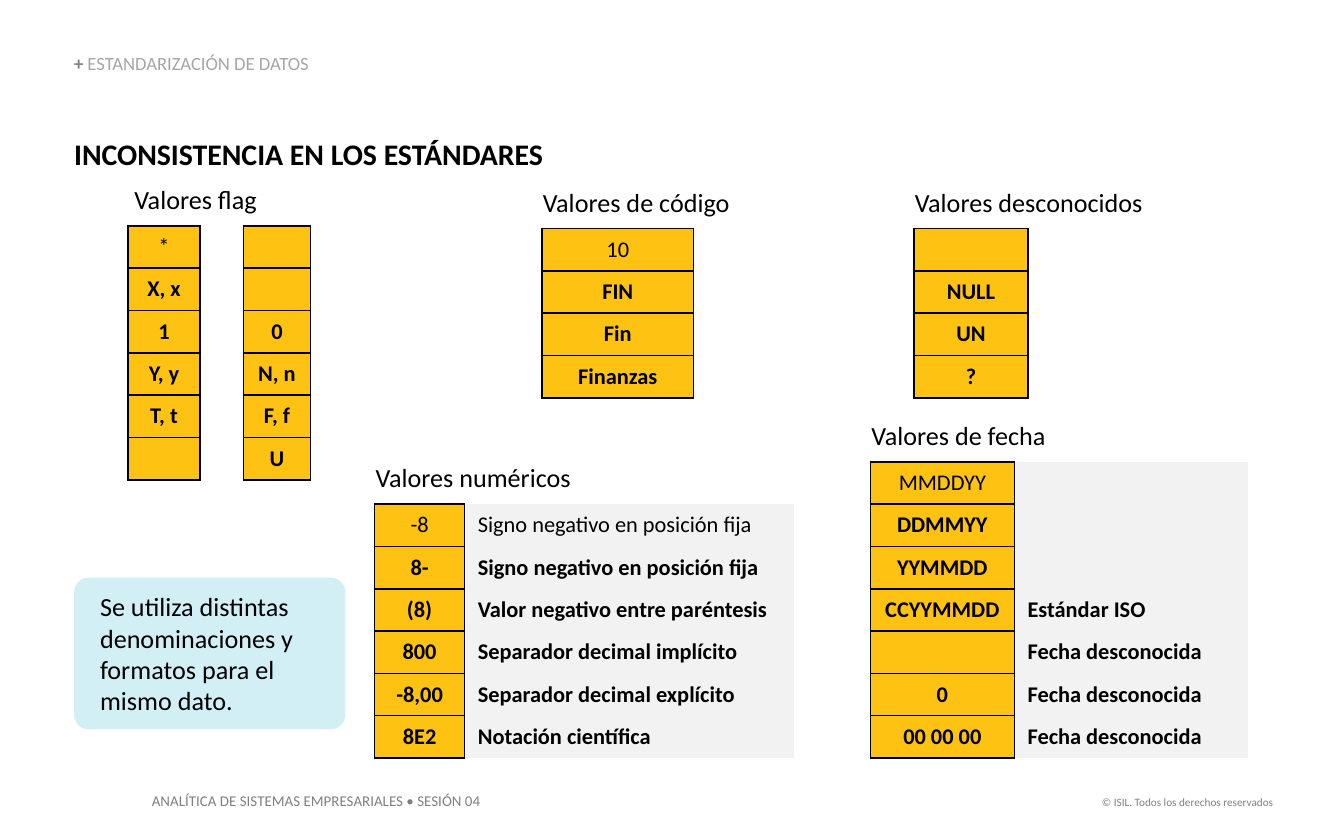
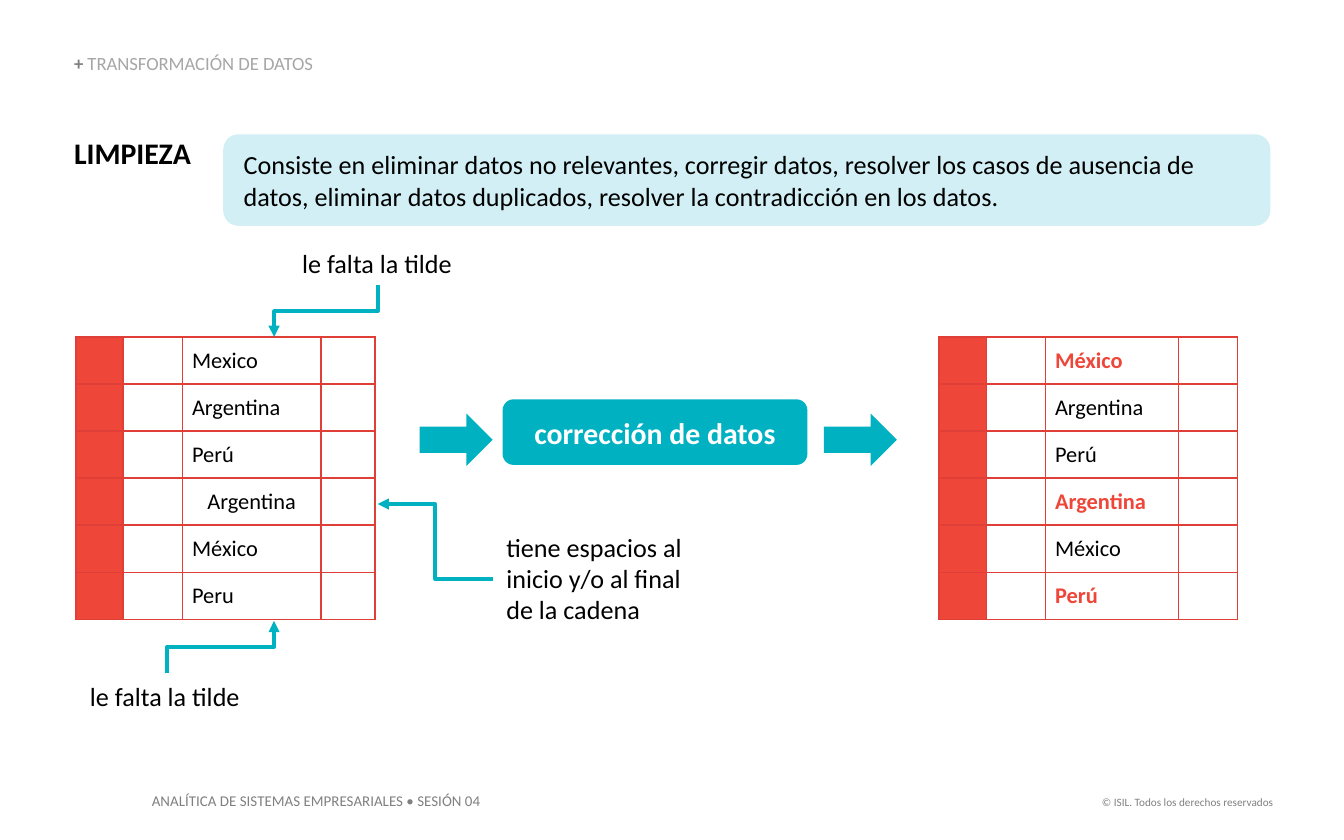
from dataclasses import dataclass

from lxml.etree import SubElement
from pptx import Presentation
from pptx.dml.color import RGBColor
from pptx.enum.shapes import MSO_CONNECTOR as LINK, MSO_SHAPE as SHAPE
from pptx.enum.text import MSO_ANCHOR as ANCHOR, MSO_AUTO_SIZE as AUTO, PP_ALIGN as ALIGN
from pptx.oxml.ns import qn
from pptx.util import Cm, Pt

BLACK = RGBColor(0x00, 0x00, 0x00)
WHITE = RGBColor(0xFF, 0xFF, 0xFF)
GRAY = RGBColor(0x80, 0x80, 0x80)
LIGHT_GRAY = RGBColor(0xA6, 0xA6, 0xA6)
PALE_GRAY = RGBColor(0xF2, 0xF2, 0xF2)
YELLOW = RGBColor(0xFD, 0xC2, 0x12)
RED = RGBColor(0xEE, 0x46, 0x39)
DARK_RED = RGBColor(0xDF, 0x3F, 0x37)
TEAL = RGBColor(0x00, 0xB1, 0xC2)
PALE_TEAL = RGBColor(0xD1, 0xEF, 0xF4)

FONT = "Calibri"
MARGIN = 1.4
ROW_HEIGHT = 0.8
INSETS = (0.25, 0.13, 0.25, 0.13)
NO_INSETS = (0, 0, 0, 0)
TIGHT_INSETS = (0.18, 0.09, 0.18, 0.09)
PLAIN_TABLE = "{2D5ABB26-0587-4C30-8999-92F81FD0307C}"


@dataclass(frozen=True)
class Box:
    left: float
    top: float
    width: float
    height: float

    def lengths(self):
        return [Cm(value) for value in (self.left, self.top, self.width, self.height)]


@dataclass(frozen=True)
class Column:
    fill: RGBColor = None
    align: ALIGN = ALIGN.LEFT
    borders: str = "LRTB"
    line: RGBColor = BLACK


CODE = Column(YELLOW, ALIGN.CENTER)
GAP = Column(borders="LR")
NOTE = Column(PALE_GRAY, borders="L")
KEY = Column(RED, line=DARK_RED)
FIELD = Column(WHITE, line=DARK_RED)


def style_run(span, size, color, bold=False):
    span.font.name = FONT
    span.font.size = Pt(size)
    span.font.bold = bold
    span.font.color.rgb = color


def set_margins(target, insets):
    (target.margin_left, target.margin_top,
     target.margin_right, target.margin_bottom) = [Cm(value) for value in insets]


def write(shape, text, size, color=BLACK, bold=False, align=ALIGN.LEFT,
          anchor=ANCHOR.TOP, insets=INSETS):
    frame = shape.text_frame
    frame.text = text
    frame.word_wrap = True
    frame.auto_size = AUTO.NONE
    frame.vertical_anchor = anchor
    set_margins(frame, insets)
    para = frame.paragraphs[0]
    para.alignment = align
    style_run(para.runs[0], size, color, bold)
    return para


def add_text(page, box, text, size=14, **options):
    shape = page.shapes.add_textbox(*box.lengths())
    write(shape, text, size, **options)
    return shape


def add_block(page, kind, box, color):
    shape = page.shapes.add_shape(kind, *box.lengths())
    shape.shadow.inherit = False
    shape.fill.solid()
    shape.fill.fore_color.rgb = color
    shape.line.fill.background()
    return shape


def add_callout(page, box, text, inset, corner=0.167):
    shape = add_block(page, SHAPE.ROUNDED_RECTANGLE, box, PALE_TEAL)
    shape.adjustments[0] = corner
    write(shape, text, 14, anchor=ANCHOR.MIDDLE, insets=(inset, 0.13, 0.25, 0.13))


def add_elbow(page, start, end, vertical=False):
    (x1, y1), (x2, y2) = start, end
    if vertical:
        middle_x, middle_y = (x1 + x2) / 2, (y1 + y2) / 2
        half_x, half_y = (y2 - y1) / 2, (x1 - x2) / 2
        x1, y1 = middle_x - half_x, middle_y - half_y
        x2, y2 = middle_x + half_x, middle_y + half_y
    link = page.shapes.add_connector(LINK.ELBOW, Cm(x1), Cm(y1), Cm(x2), Cm(y2))
    link.line.color.rgb = TEAL
    link.line.width = Pt(2)
    properties = link._element.spPr
    if vertical:
        properties.find(qn("a:xfrm")).set("rot", "5400000")
    SubElement(properties.find(qn("a:ln")), qn("a:tailEnd"), type="triangle")
    SubElement(properties, qn("a:effectLst"))


def style_cell(cell, text, column, color, bold, insets):
    if column.fill is None:
        cell.fill.background()
    else:
        cell.fill.solid()
        cell.fill.fore_color.rgb = column.fill
    cell.vertical_anchor = ANCHOR.MIDDLE
    set_margins(cell, insets)
    properties = cell._tc.get_or_add_tcPr()
    for index, side in enumerate(column.borders):
        line = SubElement(properties, qn(f"a:ln{side}"), w=str(Pt(1)))
        paint = SubElement(line, qn("a:solidFill"))
        SubElement(paint, qn("a:srgbClr"), val=str(column.line))
        properties.insert(index, line)
    para = cell.text_frame.paragraphs[0]
    para.alignment = column.align
    if text:
        para.text = text
        style_run(para.runs[0], 12, color, bold)
    else:
        SubElement(para._p, qn("a:endParaRPr"), sz="1200")


def add_grid(page, left, top, row_height, widths, columns, rows, bold_rows,
             bold_color=BLACK, insets=INSETS):
    box = Box(left, top, sum(widths), row_height * len(rows))
    frame = page.shapes.add_table(len(rows), len(widths), *box.lengths())
    frame._element.find(".//" + qn("a:tableStyleId")).text = PLAIN_TABLE
    table = frame.table
    table.first_row = table.horz_banding = False
    for index, width in enumerate(widths):
        table.columns[index].width = Cm(width)
    for row_index, texts in enumerate(rows):
        table.rows[row_index].height = Cm(row_height)
        bold = row_index in bold_rows
        color = bold_color if bold else BLACK
        for index, (text, column) in enumerate(zip(texts, columns)):
            style_cell(table.cell(row_index, index), text, column, color, bold, insets)
    return table


def add_value_group(page, left, top, label, label_width, widths, columns, rows,
                    label_shift=-0.23):
    add_grid(page, left, top, ROW_HEIGHT, widths, columns, rows, range(1, len(rows)))
    add_text(page, Box(left + label_shift, top - 0.93, label_width, 0.86), label)


def add_country_grid(page, left, top, widths, countries, bold_rows=()):
    rows = [("", "", country, "") for country in countries]
    return add_grid(page, left, top, 0.89, widths, (KEY, FIELD, FIELD, FIELD), rows,
                    bold_rows, RED, TIGHT_INSETS)


def add_footer(deck, page):
    notes = (
        add_text(page, Box(2.62, 14.83, 7.2, 0.61),
                 "ANALÍTICA DE SISTEMAS EMPRESARIALES • SESIÓN 04", 8, color=GRAY),
        add_text(page, Box(20.3, 14.91, 4.01, 0.51),
                 "© ISIL. Todos los derechos reservados", 6, color=GRAY, align=ALIGN.RIGHT),
    )
    for note in notes:
        deck.slide_master.shapes._spTree.append(note._element)


def add_page(deck, section, title, title_box):
    page = deck.slides.add_slide(deck.slide_layouts[5])
    heading = page.shapes.title
    heading.left, heading.top, heading.width, heading.height = title_box.lengths()
    write(heading, title, 16, bold=True, insets=NO_INSETS)
    band = page.shapes.add_textbox(*Box(MARGIN, 1.04, 6.76, 0.38).lengths())
    para = write(band, "+ ", 10, GRAY, True, anchor=ANCHOR.BOTTOM, insets=NO_INSETS)
    para.line_spacing = 0.9
    span = para.add_run()
    span.text = section
    style_run(span, 10, LIGHT_GRAY)
    return page


def build_standards(deck):
    page = add_page(deck, "ESTANDARIZACIÓN DE DATOS", "INCONSISTENCIA EN LOS ESTÁNDARES",
                    Box(MARGIN, 2.57, 9.5, 0.69))
    add_value_group(
        page, 2.42, 4.27, "Valores flag", 3.1, (1.36, 0.82, 1.27), (CODE, GAP, CODE),
        [("*", "", ""), ("X, x", "", ""), ("1", "", "0"),
         ("Y, y", "", "N, n"), ("T, t", "", "F, f"), ("", "", "U")],
        label_shift=-0.13)
    add_value_group(
        page, 10.24, 4.32, "Valores de código", 4.45, (2.87,), (CODE,),
        [("10",), ("FIN",), ("Fin",), ("Finanzas",)])
    add_value_group(
        page, 17.27, 4.32, "Valores desconocidos", 5.33, (2.16,), (CODE,),
        [("",), ("NULL",), ("UN",), ("?",)])
    add_value_group(
        page, 7.08, 9.53, "Valores numéricos", 4.6, (1.7, 6.22), (CODE, NOTE),
        [("-8", "Signo negativo en posición fija"),
         ("8-", "Signo negativo en posición fija"),
         ("(8)", "Valor negativo entre paréntesis"),
         ("800", "Separador decimal implícito"),
         ("-8,00", "Separador decimal explícito"),
         ("8E2", "Notación científica")])
    add_value_group(
        page, 16.45, 8.73, "Valores de fecha", 4.9, (2.72, 4.42), (CODE, NOTE),
        [("MMDDYY", ""), ("DDMMYY", ""), ("YYMMDD", ""),
         ("CCYYMMDD", "Estándar ISO"), ("", "Fecha desconocida"),
         ("0", "Fecha desconocida"), ("00 00 00", "Fecha desconocida")])
    add_callout(page, Box(MARGIN, 10.92, 5.13, 2.87),
                "Se utiliza distintas denominaciones y formatos para el mismo dato.",
                0.41, 0.098)
    return page


def build_cleaning(deck):
    page = add_page(deck, "TRANSFORMACIÓN DE DATOS", "LIMPIEZA",
                    Box(MARGIN, 2.54, 2.74, 0.69))
    add_callout(page, Box(4.22, 2.54, 19.79, 1.73),
                "Consiste en eliminar datos no relevantes, corregir datos, resolver los casos "
                "de ausencia de datos, eliminar datos duplicados, resolver la contradicción "
                "en los datos.", 0.3)

    dirty = add_country_grid(
        page, 1.44, 6.37, (0.89, 1.12, 2.62, 1.02),
        ("Mexico", "Argentina", "Perú", "Argentina", "México", "Peru"))
    dirty.cell(3, 2).margin_left = Cm(0.47)
    add_country_grid(
        page, 17.75, 6.37, (0.89, 1.12, 2.51, 1.12),
        ("México", "Argentina", "Perú", "Argentina", "México", "Perú"), (0, 3, 5))

    for left in (7.93, 15.57):
        add_block(page, SHAPE.RIGHT_ARROW, Box(left, 7.82, 1.38, 0.99), TEAL)
    process = add_block(page, SHAPE.ROUNDED_RECTANGLE, Box(9.5, 7.55, 5.76, 1.24), TEAL)
    write(process, "corrección de datos", 16, WHITE, True, ALIGN.CENTER, ANCHOR.MIDDLE)

    for left, top in ((5.46, 4.55), (1.45, 12.73)):
        add_text(page, Box(left, top, 3.45, 0.86), "le falta la tilde")
    add_text(page, Box(9.32, 9.91, 3.89, 2.06),
             "tiene espacios al inicio y/o al final de la cadena")
    add_elbow(page, (7.14, 5.39), (5.18, 6.37), vertical=True)
    add_elbow(page, (3.15, 12.73), (5.18, 11.74), vertical=True)
    add_elbow(page, (9.32, 10.95), (7.14, 9.53))


def main():
    deck = Presentation()
    deck.slide_width, deck.slide_height = Cm(25.4), Cm(15.88)
    first_page = build_standards(deck)
    add_footer(deck, first_page)
    build_cleaning(deck)
    deck.save("out.pptx")


if __name__ == "__main__":
    main()
